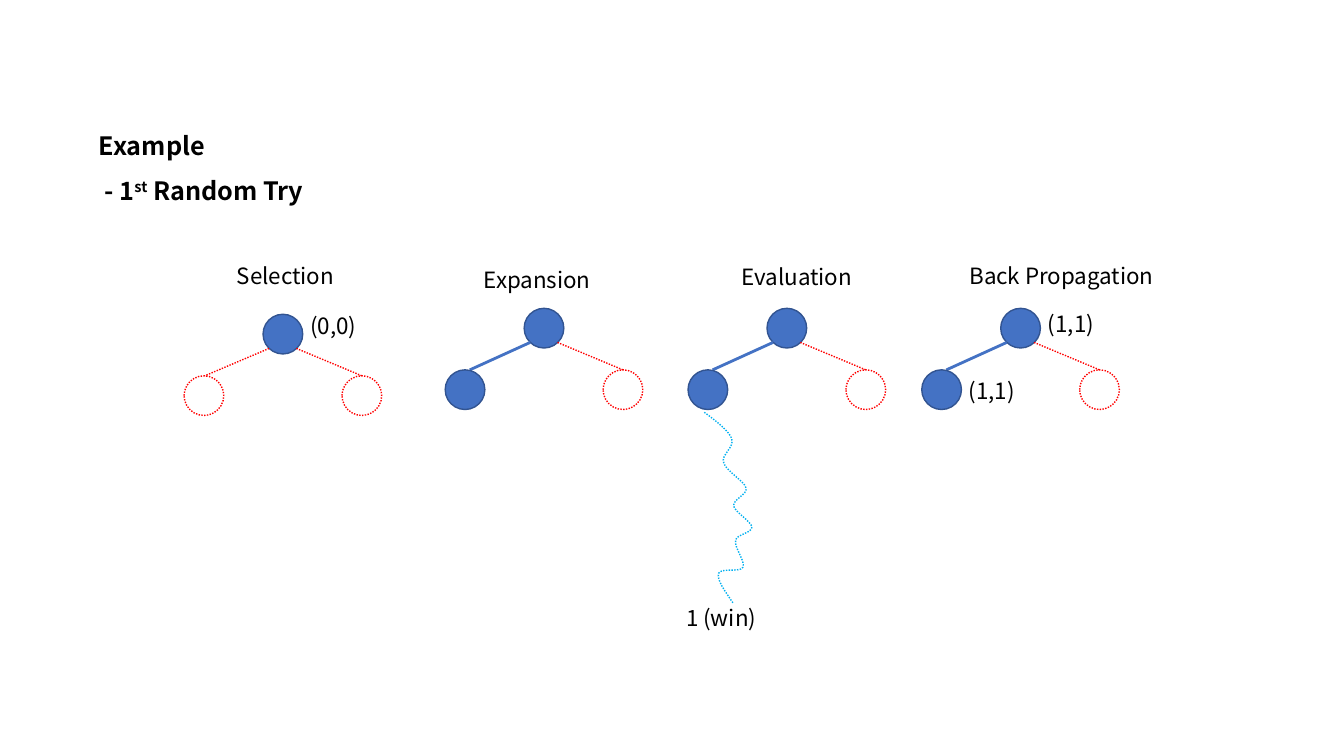
import pptx
import pptx.dml.color
import pptx.enum.dml
import pptx.enum.shapes
import pptx.enum.text
import pptx.oxml
import pptx.oxml.ns
import pptx.util

Cm = pptx.util.Cm
Pt = pptx.util.Pt
RGBColor = pptx.dml.color.RGBColor

BLACK = RGBColor(0x00, 0x00, 0x00)
BLUE = RGBColor(0x44, 0x72, 0xC4)
NAVY = RGBColor(0x32, 0x54, 0x91)
RED = RGBColor(0xFF, 0x00, 0x00)
SKY = RGBColor(0x00, 0xB0, 0xF0)

NODE_SIZE = 1.0
CHILD_ACROSS, CHILD_DOWN = 1.99, 1.55
LABEL_HEIGHT = 0.94

# Root left, root top, and whether the left child has been visited
TREES = [
    (6.63, 7.92, False),
    (13.21, 7.77, True),
    (19.33, 7.77, True),
    (25.22, 7.77, True),
]

# Text, left, top, width
LABELS = [
    ("Selection", 5.72, 6.48, 3.05),
    ("Expansion", 11.94, 6.58, 3.28),
    ("Evaluation", 18.44, 6.5, 3.4),
    ("Back Propagation", 24.18, 6.48, 5.51),
    ("(0,0)", 7.57, 7.75, 1.73),
    ("(1,1)", 26.16, 7.7, 1.73),
    ("(1,1)", 24.16, 9.37, 1.73),
    ("1 (win)", 17.04, 15.09, 2.36),
]

# Each row is one curve: two control points and an end point
ROLLOUT_START = (17.75, 10.39)
ROLLOUT_CURVES = [
    [(18.06, 10.62), (18.36, 10.85), (18.44, 11.05)],
    [(18.52, 11.28), (18.16, 11.46), (18.24, 11.66)],
    [(18.29, 11.86), (18.75, 12.12), (18.8, 12.29)],
    [(18.85, 12.47), (18.47, 12.57), (18.49, 12.75)],
    [(18.52, 12.9), (18.92, 13.13), (18.95, 13.28)],
    [(18.95, 13.44), (18.57, 13.46), (18.54, 13.61)],
    [(18.49, 13.79), (18.8, 14.15), (18.72, 14.3)],
    [(18.64, 14.43), (18.16, 14.3), (18.11, 14.45)],
    [(18.06, 14.61), (18.26, 14.88), (18.47, 15.19)],
]


class TreePage:
    font_name = "Noto Sans CJK KR"

    def __init__(self, page):
        self.page = page

    def style_line(self, line, color, width=1, dotted=False):
        line.color.rgb = color
        line.width = Pt(width)
        if dotted:
            line.dash_style = pptx.enum.dml.MSO_LINE.ROUND_DOT

    def text_box(self, left, top, width, height, wrap):
        box = self.page.shapes.add_textbox(Cm(left), Cm(top), Cm(width), Cm(height))
        box.text_frame.word_wrap = wrap
        box.text_frame.auto_size = pptx.enum.text.MSO_AUTO_SIZE.SHAPE_TO_FIT_TEXT
        return box.text_frame

    def span(self, para, text, size, bold=False, raised=False):
        span = para.add_run()
        span.text = text
        span.font.name = self.font_name
        span.font.size = Pt(size)
        span.font.bold = bold
        span.font.color.rgb = BLACK
        if raised:
            span.font._element.set("baseline", "30000")

    def label(self, text, left, top, width):
        frame = self.text_box(left, top, width, LABEL_HEIGHT, wrap=False)
        self.span(frame.paragraphs[0], text, 16)

    def heading(self, lines, left, top, width, height):
        frame = self.text_box(left, top, width, height, wrap=True)
        for index, spans in enumerate(lines):
            para = frame.add_paragraph() if index else frame.paragraphs[0]
            para.level = 1
            para.line_spacing = 1.5
            properties = para._p.get_or_add_pPr()
            properties.set("marL", str(Cm(1.27)))
            properties.set("indent", "0")
            for text, raised in spans:
                self.span(para, text, 18, bold=True, raised=raised)

    def node(self, left, top, visited):
        circle = self.page.shapes.add_shape(
            pptx.enum.shapes.MSO_SHAPE.OVAL,
            Cm(left), Cm(top), Cm(NODE_SIZE), Cm(NODE_SIZE))
        circle.shadow.inherit = False
        if visited:
            circle.fill.solid()
            circle.fill.fore_color.rgb = BLUE
            self.style_line(circle.line, NAVY)
        else:
            circle.fill.background()
            self.style_line(circle.line, RED, dotted=True)

    def edge(self, start, end, visited):
        edge = self.page.shapes.add_connector(
            pptx.enum.shapes.MSO_CONNECTOR.STRAIGHT,
            *(Cm(value) for value in (*start, *end)))
        if visited:
            self.style_line(edge.line, BLUE, width=2)
        else:
            self.style_line(edge.line, RED, dotted=True)
        edge._element.spPr.append(pptx.oxml.parse_xml(
            "<a:effectLst %s/>" % pptx.oxml.ns.nsdecls("a")))

    def tree(self, left, top, left_visited):
        self.node(left, top, True)
        child_top = top + CHILD_DOWN
        left_end = left - (1.37 if left_visited else 1.47)
        self.edge((left + 0.84, top + 0.86), (left + 2.49, child_top), False)
        self.edge((left + 0.15, top + 0.86), (left_end, child_top), left_visited)
        self.node(left - CHILD_ACROSS, child_top, left_visited)
        self.node(left + CHILD_ACROSS, child_top, False)

    def curve(self, start, curves, color):
        builder = self.page.shapes.build_freeform(Cm(start[0]), Cm(start[1]))
        points = [(Cm(x), Cm(y)) for row in curves for x, y in row]
        builder.add_line_segments(points, close=False)
        shape = builder.convert_to_shape()
        # Join every three straight segments into one Bezier curve
        name = pptx.oxml.ns.qn
        segments = list(shape._element.iter(name("a:lnTo")))
        for first in range(0, len(segments), 3):
            bezier = pptx.oxml.parse_xml(
                "<a:cubicBezTo %s/>" % pptx.oxml.ns.nsdecls("a"))
            segments[first].addprevious(bezier)
            for segment in segments[first:first + 3]:
                bezier.append(segment[0])
                segment.getparent().remove(segment)
        shape.shadow.inherit = False
        shape.fill.background()
        self.style_line(shape.line, color, dotted=True)


def main():
    deck = pptx.Presentation()
    deck.slide_width, deck.slide_height = Cm(33.87), Cm(19.05)
    page = TreePage(deck.slides.add_slide(deck.slide_layouts[6]))

    # Heading
    page.heading(
        [[("Example", False)],
         [(" - 1", False), ("st", True), (" Random Try", False)]],
        0.97, 2.77, 28.4, 2.41)

    # Search trees, one per step
    for left, top, left_visited in TREES:
        page.tree(left, top, left_visited)

    # Random rollout down to the result
    page.curve(ROLLOUT_START, ROLLOUT_CURVES, SKY)

    # Step names and node values
    for label in LABELS:
        page.label(*label)

    deck.save("out.pptx")


if __name__ == "__main__":
    main()
